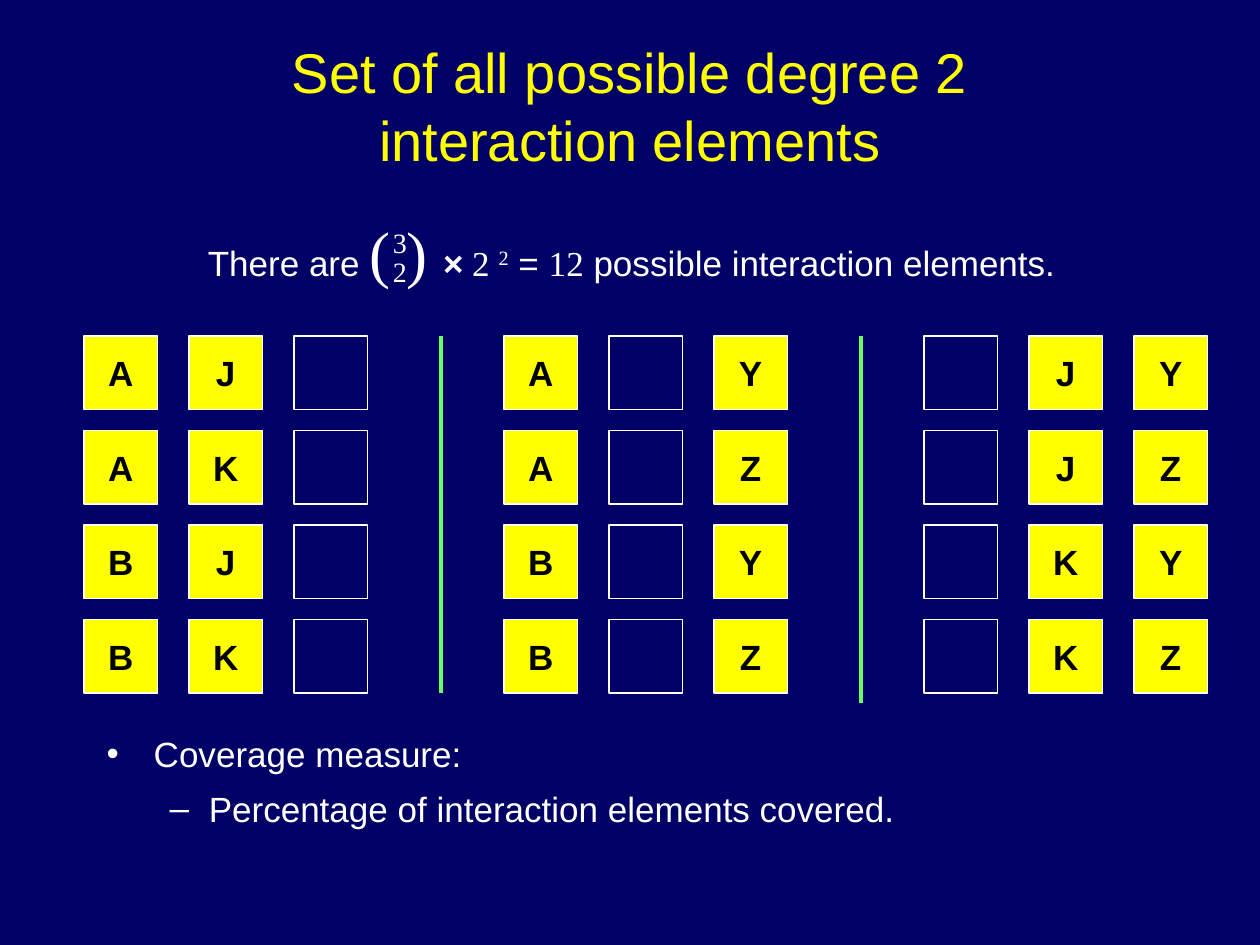
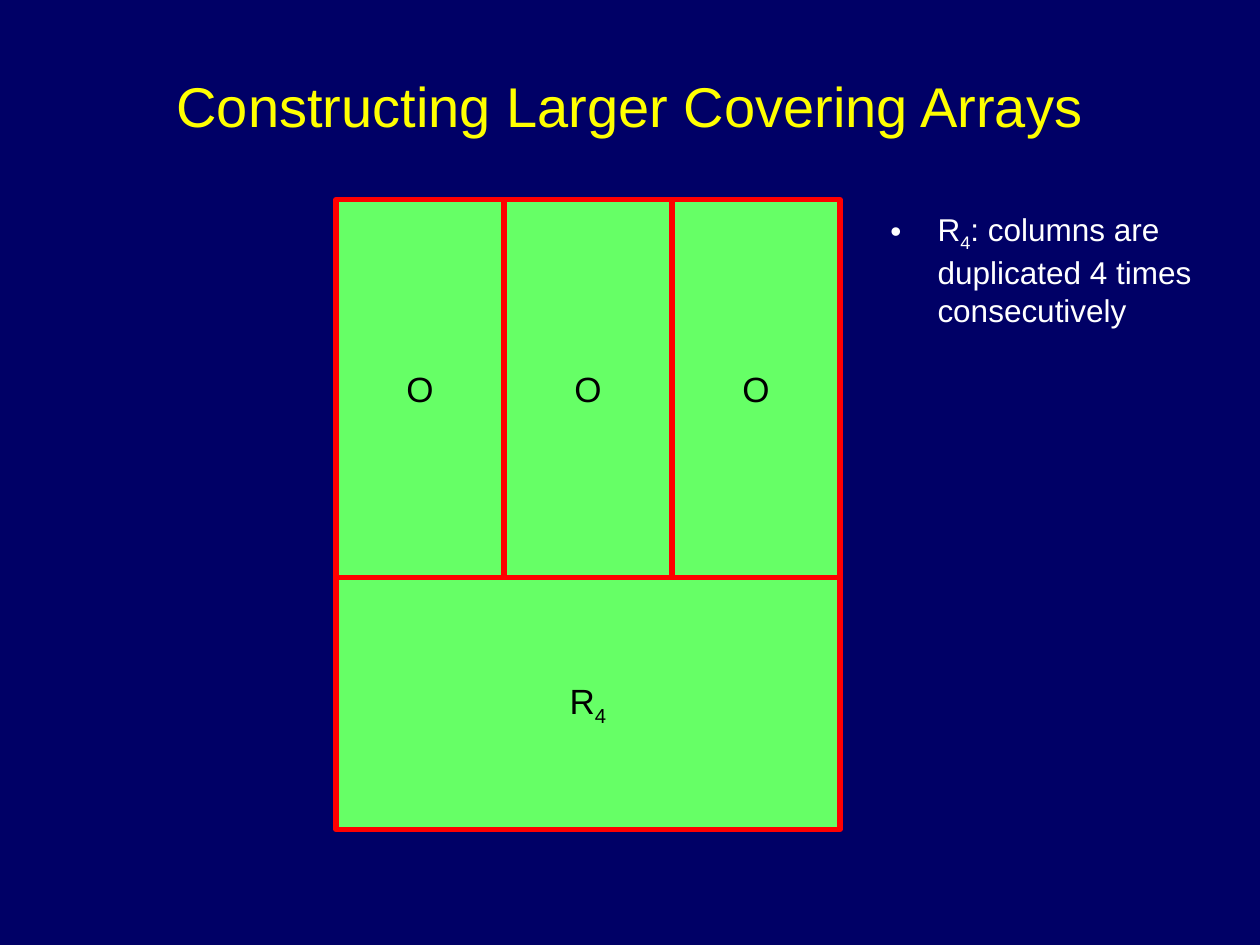
"""Build two slides on covering arrays: interaction elements and larger arrays."""
import itertools

import lxml.etree
import pptx
import pptx.dml.color
import pptx.enum.shapes
import pptx.enum.text
import pptx.oxml.ns
import pptx.util

Cm, Pt = pptx.util.Cm, pptx.util.Pt
rgb = pptx.dml.color.RGBColor.from_string
qn = pptx.oxml.ns.qn
CENTER = pptx.enum.text.PP_ALIGN.CENTER
MIDDLE = pptx.enum.text.MSO_ANCHOR.MIDDLE
NAVY, YELLOW, GREEN, RED = "000066", "FFFF00", "66FF66", "FF0000"
WHITE, BLACK = "FFFFFF", "000000"
SERIF = "Times New Roman"
UNIT = 25.4 / 12


def add_run(p, text, size, color, font="Arial", bold=False, baseline=0):
    r = p.add_run()
    r.text = text
    r.font.size = Pt(size)
    r.font.name = font
    r.font.bold = bold
    r.font.color.rgb = rgb(color)
    if baseline:
        r._r.get_or_add_rPr().set("baseline", str(baseline * 1000))


def add_rect(s, left, top, width, height, fill, line, weight):
    sp = s.shapes.add_shape(pptx.enum.shapes.MSO_SHAPE.RECTANGLE,
                            *[Cm(n * UNIT) for n in (left, top, width, height)])
    sp.shadow.inherit = False
    if fill:
        sp.fill.solid()
        sp.fill.fore_color.rgb = rgb(fill)
    else:
        sp.fill.background()
    sp.line.color.rgb = rgb(line)
    sp.line.width = Pt(weight)
    tf = sp.text_frame
    tf.word_wrap = False
    tf.vertical_anchor = MIDDLE
    tf.paragraphs[0].alignment = CENTER
    return tf.paragraphs[0]


prs = pptx.Presentation()
prs.slide_width, prs.slide_height = Cm(25.4), Cm(19.05)
prs.slide_master.background.fill.solid()
prs.slide_master.background.fill.fore_color.rgb = rgb(NAVY)

titles = [["Set of all possible degree 2", "interaction elements"],
          ["Constructing Larger Covering Arrays"]]
for lines in titles:
    s = prs.slides.add_slide(prs.slide_layouts[6])
    tf = s.shapes.add_textbox(Cm(1.9), Cm(0.53), Cm(21.6), Cm(3.18)).text_frame
    tf.word_wrap = True
    tf.vertical_anchor = MIDDLE
    p = tf.paragraphs[0]
    p.alignment = CENTER
    for i, line in enumerate(lines):
        if i:
            p.add_line_break()
        add_run(p, line, 32, YELLOW)
elements, arrays = prs.slides

formula = [("There are ", 20), ("( ) ", 36, SERIF), ("×", 20, "Arial", True),
           (" 2 ", 20, SERIF), ("2", 20, SERIF, False, 30), (" = ", 20),
           ("12", 20, SERIF), (" possible interaction elements.", 20)]
labels = [(3.94, 4.17, 17.93, 1.78, formula),
          (7.67, 4.42, 0.79, 0.94, [("3", 16, SERIF)]),
          (7.67, 5.0, 0.79, 0.94, [("2", 16, SERIF)])]
for left, top, width, height, runs in labels:
    tf = elements.shapes.add_textbox(Cm(left), Cm(top), Cm(width), Cm(height)).text_frame
    tf.word_wrap = False
    tf.auto_size = pptx.enum.text.MSO_AUTO_SIZE.SHAPE_TO_FIT_TEXT
    for text, size, *style in runs:
        add_run(tf.paragraphs[0], text, size, WHITE, *style)

factors = ["AB", "JK", "YZ"]
for group, unused in enumerate((2, 1, 0)):
    levels = [[""] if i == unused else f for i, f in enumerate(factors)]
    for row, values in enumerate(itertools.product(*levels)):
        for col, value in enumerate(values):
            p = add_rect(elements, 0.8 + 4 * group + col, 3.2 + 0.9 * row, 0.7, 0.7,
                         YELLOW if value else None, WHITE, 0.75)
            if value:
                add_run(p, value, 20, BLACK, bold=True)

for x, bottom in ((4.2, 6.6), (8.2, 6.7)):
    divider = elements.shapes.add_connector(
        pptx.enum.shapes.MSO_CONNECTOR.STRAIGHT,
        *[Cm(n * UNIT) for n in (x, 3.2, x, bottom)])
    divider.line.color.rgb = rgb(GREEN)
    divider.line.width = Pt(2.25)
    lxml.etree.SubElement(divider._element.spPr, qn("a:effectLst"))

p = add_rect(arrays, 3.2, 5.5, 4.8, 2.4, GREEN, RED, 3)
add_run(p, "R", 20, BLACK)
add_run(p, "4", 20, BLACK, baseline=-25)
for col in range(3):
    p = add_rect(arrays, 3.2 + 1.6 * col, 1.9, 1.6, 3.6, GREEN, RED, 3)
    add_run(p, "O", 20, BLACK)

bodies = [
    (elements, (1.9, 14.73, 21.6, 2.21), 20, 0.9,
     [(0, "•", 0.95, 0.95, [("Coverage measure:", 0)]),
      (1, "–", 2.06, 0.79, [("Percentage of interaction elements covered.", 0)])]),
    (arrays, (17.7, 4.11, 6.81, 5.08), 18, 1.0,
     [(0, "•", 0.95, 0.95, [("R", 0), ("4", -25),
                            (": columns are duplicated 4 times consecutively", 0)])]),
]
for s, place, size, spacing, items in bodies:
    tf = s.shapes.add_textbox(*[Cm(n) for n in place]).text_frame
    tf.word_wrap = True
    for i, (level, mark, margin, hang, runs) in enumerate(items):
        p = tf.add_paragraph() if i else tf.paragraphs[0]
        p.level = level
        p.line_spacing = spacing
        if i:
            p.space_before = Pt(10)
        pPr = p._p.get_or_add_pPr()
        pPr.set("marL", str(Cm(margin)))
        pPr.set("indent", str(-Cm(hang)))
        clr = lxml.etree.SubElement(pPr, qn("a:buClr"))
        lxml.etree.SubElement(clr, qn("a:srgbClr"), val=WHITE)
        lxml.etree.SubElement(pPr, qn("a:buFont"), typeface="Arial")
        lxml.etree.SubElement(pPr, qn("a:buChar"), char=mark)
        for text, baseline in runs:
            add_run(p, text, size, WHITE, baseline=baseline)

prs.save("out.pptx")
